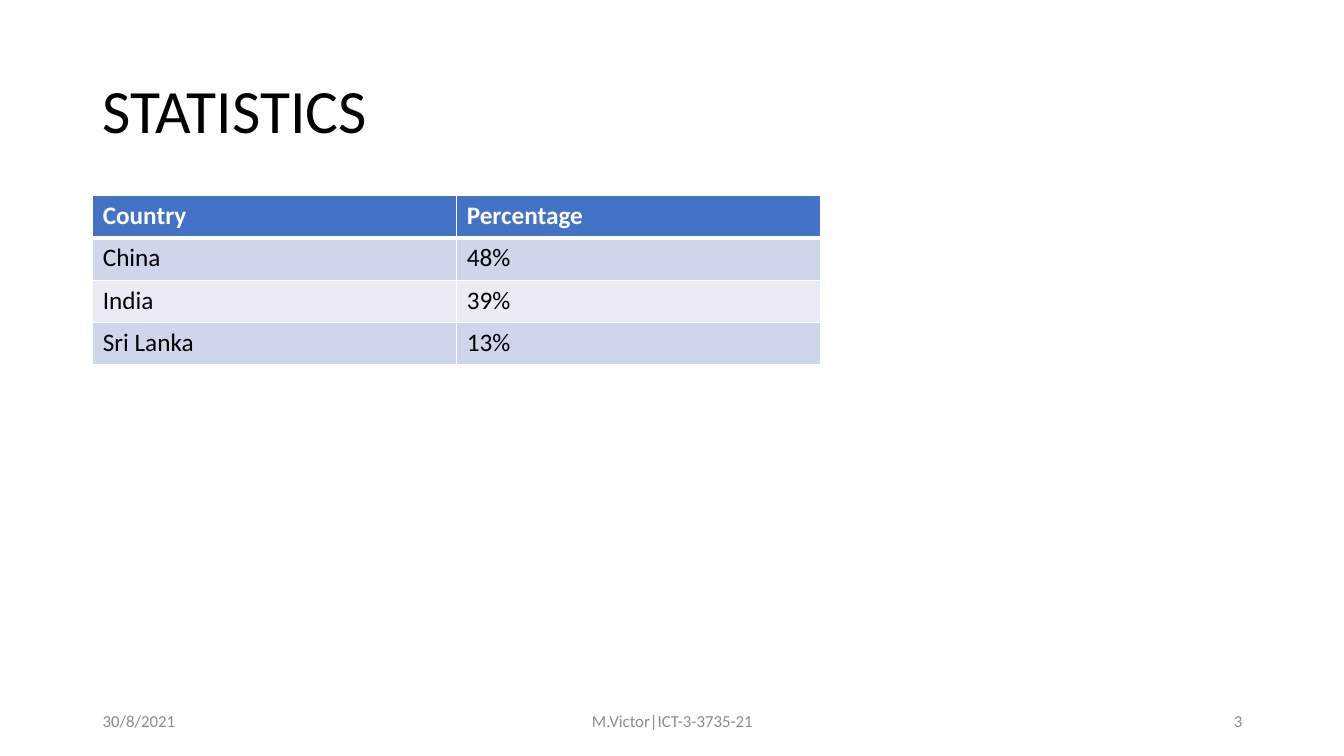
from dataclasses import dataclass

from lxml import etree
from pptx import Presentation
from pptx import util as u
from pptx.dml.color import RGBColor
from pptx.enum import text as t
from pptx.oxml import ns

BLACK = RGBColor(0x00, 0x00, 0x00)
WHITE = RGBColor(0xFF, 0xFF, 0xFF)
GREY = RGBColor(0x8C, 0x8C, 0x8C)
BLUE = RGBColor(0x44, 0x72, 0xC4)
BANDS = (RGBColor(0xCF, 0xD5, 0xEA), RGBColor(0xE9, 0xEB, 0xF5))

FONT = "Calibri"
LEFT = 0.92
COL_W, ROW_H = 3.61, 0.42
ROWS = (
    ("Country", "Percentage"),
    ("China", "48%"),
    ("India", "39%"),
    ("Sri Lanka", "13%"),
)


@dataclass(frozen=True)
class Label:
    words: str
    left: float
    top: float
    width: float
    height: float
    size: int
    color: RGBColor
    align: t.PP_ALIGN = t.PP_ALIGN.LEFT
    space: float = 1.0


LABELS = (
    Label("STATISTICS", LEFT, 0.4, 11.5, 1.45, 44, BLACK, space=0.9),
    Label("30/8/2021", LEFT, 6.95, 3, 0.4, 12, GREY),
    Label("M.Victor|ICT-3-3735-21", 4.42, 6.95, 4.5, 0.4, 12, GREY,
          t.PP_ALIGN.CENTER),
    Label("3", 9.42, 6.95, 3, 0.4, 12, GREY, t.PP_ALIGN.RIGHT),
)


def add_run(para, words: str, size: int, color: RGBColor,
            bold: bool = False) -> None:
    run = para.add_run()
    run.text = words
    run.font.name = FONT
    run.font.size = u.Pt(size)
    run.font.bold = bold
    run.font.color.rgb = color


def add_label(slide, label: Label) -> None:
    box = slide.shapes.add_textbox(
        u.Inches(label.left), u.Inches(label.top),
        u.Inches(label.width), u.Inches(label.height))
    frame = box.text_frame
    frame.word_wrap = True
    frame.vertical_anchor = t.MSO_ANCHOR.MIDDLE
    para = frame.paragraphs[0]
    para.alignment = label.align
    para.line_spacing = label.space
    add_run(para, label.words, label.size, label.color)


def add_edge(cell, side: str, width: float) -> None:
    """Draw a white border on one side (L, R, T or B) of a cell."""
    props = cell._tc.get_or_add_tcPr()
    line = etree.SubElement(props, ns.qn(f"a:ln{side}"), w=str(u.Pt(width)))
    fill = etree.SubElement(line, ns.qn("a:solidFill"))
    etree.SubElement(fill, ns.qn("a:srgbClr"), val=str(WHITE))


def add_stats(slide) -> None:
    count, wide = len(ROWS), len(ROWS[0])
    table = slide.shapes.add_table(
        count, wide, u.Inches(LEFT), u.Inches(1.94),
        u.Inches(wide * COL_W), u.Inches(count * ROW_H)).table
    for r, row in enumerate(ROWS):
        head = r == 0
        for c, words in enumerate(row):
            cell = table.cell(r, c)
            for side in "LRTB":
                thick = (head and side == "B") or (r == 1 and side == "T")
                add_edge(cell, side, 3 if thick else 1)
            cell.fill.solid()
            cell.fill.fore_color.rgb = BLUE if head else BANDS[(r - 1) % 2]
            add_run(cell.text_frame.paragraphs[0], words, 18,
                    WHITE if head else BLACK, head)


def main() -> None:
    deck = Presentation()
    deck.slide_width = u.Inches(13.33)
    deck.slide_height = u.Inches(7.5)
    slide = deck.slides.add_slide(deck.slide_layouts[6])
    add_stats(slide)
    for label in LABELS:
        add_label(slide, label)
    deck.save("out.pptx")


if __name__ == "__main__":
    main()
